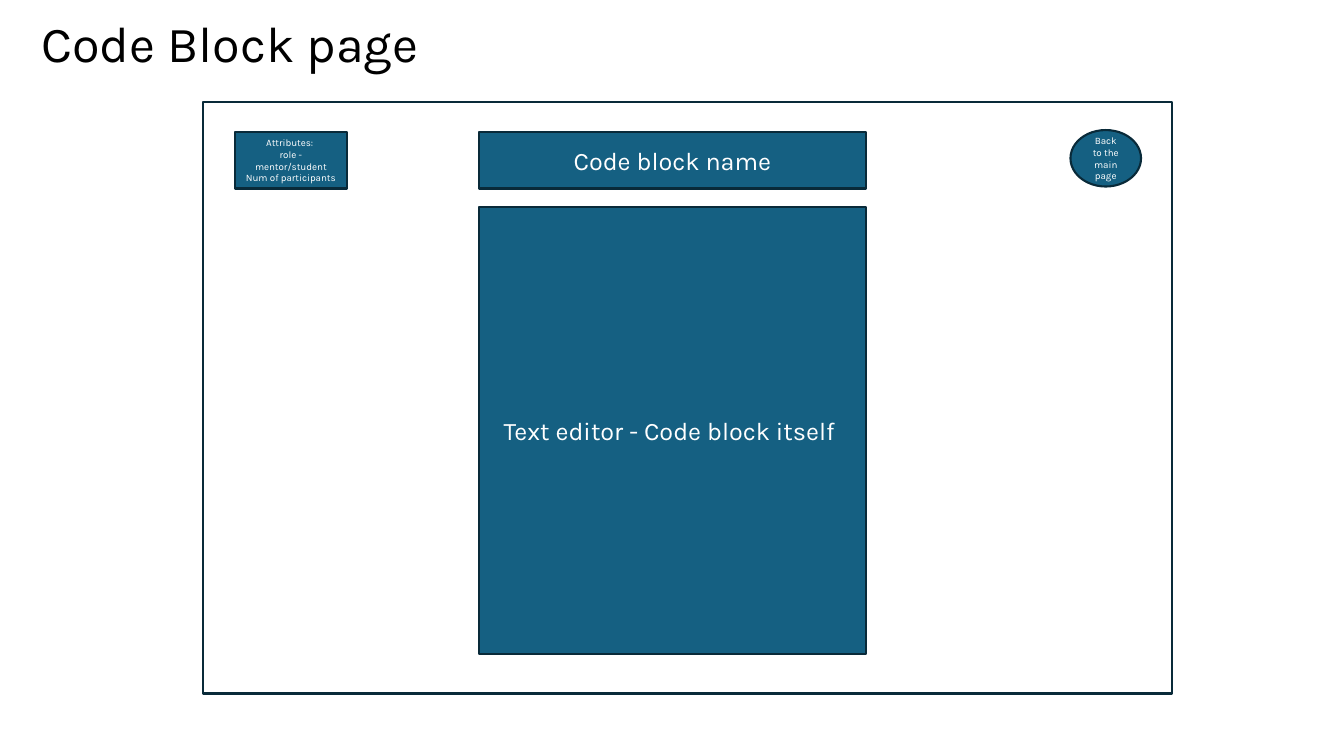
from dataclasses import dataclass
from typing import Optional

import pptx
import pptx.dml.color
import pptx.enum.shapes
import pptx.enum.text
import pptx.util

RGBColor = pptx.dml.color.RGBColor
MSO_SHAPE = pptx.enum.shapes.MSO_SHAPE
PP_ALIGN = pptx.enum.text.PP_ALIGN

BLACK = RGBColor(0x00, 0x00, 0x00)
WHITE = RGBColor(0xFF, 0xFF, 0xFF)
TEAL = RGBColor(0x15, 0x60, 0x82)
DARK_TEAL = RGBColor(0x09, 0x2A, 0x39)

FONT = "Karla"
SLIDE_W = pptx.util.Inches(13.33)
SLIDE_H = pptx.util.Inches(7.5)


@dataclass(frozen=True)
class Area:
    """Left, top, width and height as percentages of the slide."""
    left: float
    top: float
    width: float
    height: float

    def emu(self) -> tuple[int, int, int, int]:
        return (int(SLIDE_W * self.left / 100), int(SLIDE_H * self.top / 100),
                int(SLIDE_W * self.width / 100), int(SLIDE_H * self.height / 100))


@dataclass(frozen=True)
class Block:
    area: Area
    text: str = ""
    size: float = 18
    fill: Optional[RGBColor] = TEAL
    kind: int = MSO_SHAPE.RECTANGLE


EDITOR_LEFT, EDITOR_W = 35.63, 28.8
HEADER_TOP, HEADER_H = 17.47, 7.47

TITLE = Area(2.33, 0, 86.25, 11.07)
BLOCKS = [
    Block(Area(15.08, 13.47, 72.15, 78.27), fill=None),
    Block(Area(EDITOR_LEFT, HEADER_TOP, EDITOR_W, HEADER_H), "Code block name"),
    Block(Area(EDITOR_LEFT, 27.33, EDITOR_W, 59.2),
          "Text editor - Code block itself "),
    Block(Area(79.65, 17.2, 5.25, HEADER_H), "Back to the main page", 7,
          kind=MSO_SHAPE.OVAL),
    Block(Area(17.48, HEADER_TOP, 8.33, HEADER_H),
          "Attributes: \nrole - mentor/student\nNum of participants ", 7),
]


def write_text(tf: pptx.text.text.TextFrame, text: str, size: float,
               color: RGBColor, align: int) -> None:
    tf.text = text
    tf.word_wrap = True
    tf.vertical_anchor = pptx.enum.text.MSO_ANCHOR.MIDDLE
    for p in tf.paragraphs:
        p.alignment = align
        for r in p.runs:
            r.font.name = FONT
            r.font.size = pptx.util.Pt(size)
            r.font.color.rgb = color


def add_block(s: pptx.slide.Slide, block: Block) -> None:
    sp = s.shapes.add_shape(block.kind, *block.area.emu())
    sp.shadow.inherit = False
    sp.line.color.rgb = DARK_TEAL
    sp.line.width = pptx.util.Pt(1.5)
    if block.fill is None:
        sp.fill.background()
    else:
        sp.fill.solid()
        sp.fill.fore_color.rgb = block.fill
    if block.text:
        write_text(sp.text_frame, block.text, block.size, WHITE, PP_ALIGN.CENTER)


def main() -> None:
    prs = pptx.Presentation()
    prs.slide_width, prs.slide_height = SLIDE_W, SLIDE_H
    s = prs.slides.add_slide(prs.slide_layouts[6])
    title = s.shapes.add_textbox(*TITLE.emu())
    write_text(title.text_frame, "Code Block page", 36, BLACK, PP_ALIGN.LEFT)
    for block in BLOCKS:
        add_block(s, block)
    prs.save("out.pptx")


if __name__ == "__main__":
    main()
